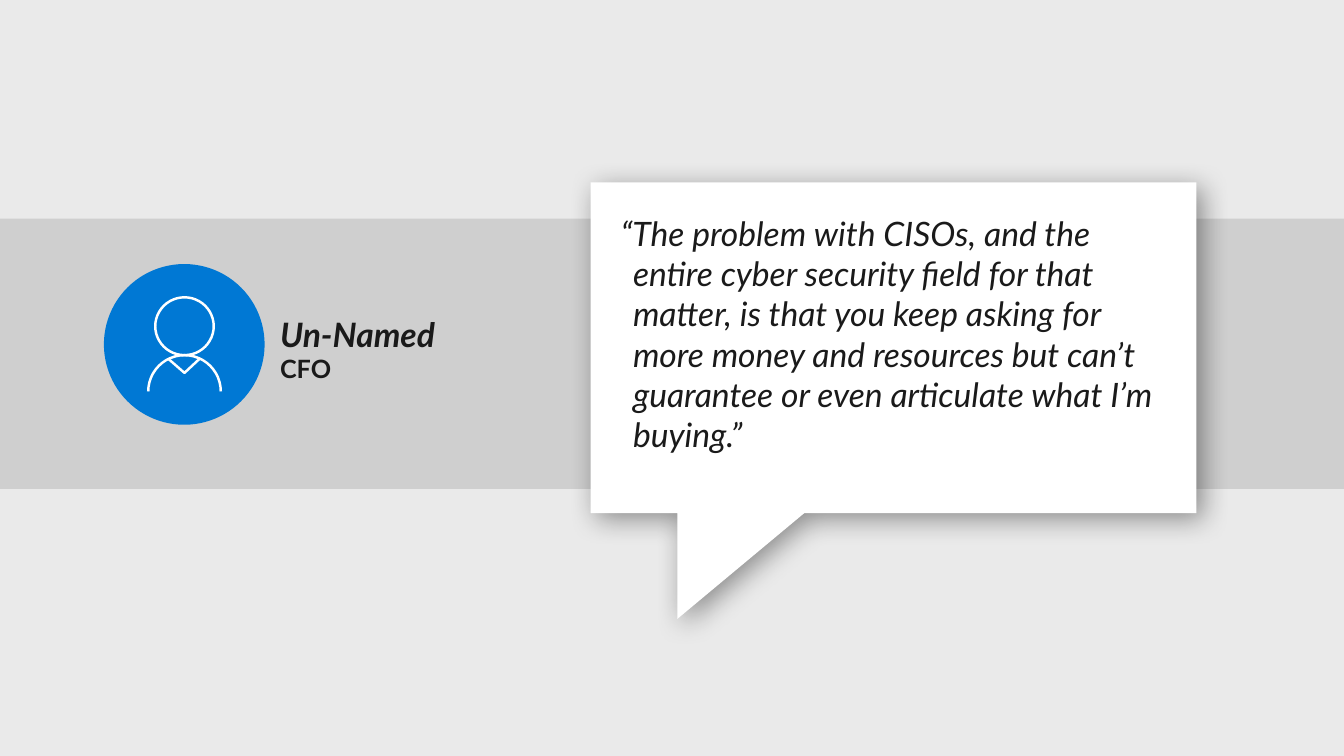
from lxml.etree import SubElement
from pptx import Presentation
from pptx.dml.color import RGBColor
from pptx.enum.shapes import MSO_SHAPE
from pptx.enum.text import MSO_ANCHOR, PP_ALIGN
from pptx.oxml.ns import qn
from pptx.util import Inches, Pt

BACKDROP = RGBColor(0xEA, 0xEA, 0xEA)
BAND = RGBColor(0xCF, 0xCF, 0xCF)
WHITE = RGBColor(0xFF, 0xFF, 0xFF)
BLACK = RGBColor(0, 0, 0)
BLUE = RGBColor(0x00, 0x78, 0xD4)
INK = RGBColor(0x1A, 0x1A, 0x1A)


class QuoteSlide:
    """Style and current slide; lengths are percent of the slide's size."""

    font = "Lato"
    stroke = 1.75

    def __init__(self, prs):
        """Add a blank slide with the backdrop colour."""
        self.prs = prs
        self.s = prs.slides.add_slide(prs.slide_layouts[6])
        self.s.background.fill.solid()
        self.s.background.fill.fore_color.rgb = BACKDROP

    def x(self, share):
        """Turn a share of the width into a length."""
        return round(self.prs.slide_width * share / 100)

    def y(self, share):
        """Turn a share of the height into a length."""
        return round(self.prs.slide_height * share / 100)

    def box(self, left, top, width, height):
        """Turn four shares into a position and size."""
        return self.x(left), self.y(top), self.x(width), self.y(height)

    def paint(self, sp, fill, line):
        """Set fill and line, and drop the theme shadow."""
        sp.shadow.inherit = False
        if fill is None:
            sp.fill.background()
        else:
            sp.fill.solid()
            sp.fill.fore_color.rgb = fill
        if line is None:
            sp.line.fill.background()
        else:
            sp.line.color.rgb = line
            sp.line.width = Pt(self.stroke)
        return sp

    def shape(self, kind, *shares, fill=None, line=None, parent=None):
        """Add a preset shape to the slide or a group."""
        shapes = (parent or self.s).shapes
        return self.paint(shapes.add_shape(kind, *self.box(*shares)), fill, line)

    def outline(self, points, fill=None, line=None, closed=True, parent=None):
        """Add a straight-sided outline through the given points."""
        pts = [(self.x(px), self.y(py)) for px, py in points]
        fb = (parent or self.s).shapes.build_freeform(*pts[0])
        fb.add_line_segments(pts[1:], close=closed)
        return self.paint(fb.convert_to_shape(), fill, line)

    def shadow(self, sp, color, alpha, blur, dist, angle):
        """Give a shape a soft outer shadow."""
        effects = sp._element.spPr.find(qn("a:effectLst"))
        outer = SubElement(effects, qn("a:outerShdw"), blurRad=str(Pt(blur)),
                           dist=str(Pt(dist)), dir=str(angle * 60000),
                           algn="tl", rotWithShape="0")
        clr = SubElement(outer, qn("a:srgbClr"), val=str(color))
        SubElement(clr, qn("a:alpha"), val=str(alpha * 1000))

    def run(self, p, text, size, bold=False, italic=False):
        """Add one styled run to a paragraph."""
        r = p.add_run()
        r.text = text
        r.font.name, r.font.size = self.font, Pt(size)
        r.font.bold, r.font.italic = bold, italic
        r.font.color.rgb = INK

    def quote(self, sp, text, inset, hang):
        """Write a quote with its opening mark hanging."""
        tf = sp.text_frame
        tf.word_wrap = True
        tf.vertical_anchor = MSO_ANCHOR.TOP
        tf.margin_left = tf.margin_right = Inches(inset)
        tf.margin_top = tf.margin_bottom = Inches(inset)
        p = tf.paragraphs[0]
        p.alignment = PP_ALIGN.LEFT
        p.space_after = Pt(6)
        pPr = p._p.get_or_add_pPr()
        pPr.set("marL", str(Inches(hang)))
        pPr.set("indent", str(-Inches(hang)))
        self.run(p, text, 24, italic=True)

    def speaker(self, name, role, *shares):
        """Add the speaker's name with the role below it."""
        tf = self.s.shapes.add_textbox(*self.box(*shares)).text_frame
        tf.word_wrap = True
        p = tf.paragraphs[0]
        p.space_after = Pt(6)
        self.run(p, name, 24, bold=True, italic=True)
        p.add_line_break()
        self.run(p, role, 18, bold=True)

    def badge(self):
        """Add the round badge with a person icon."""
        g = self.s.shapes.add_group_shape()
        self.shape(MSO_SHAPE.OVAL, 7.73, 34.93, 11.96, 21.26, fill=BLUE, parent=g)
        self.shape(MSO_SHAPE.OVAL, 11.55, 39.33, 4.35, 7.65, line=WHITE, parent=g)
        arc = self.shape(MSO_SHAPE.ARC, 11.03, 46.98, 5.4, 9.6, line=WHITE, parent=g)
        arc.adjustments[0], arc.adjustments[1] = 108, 0
        self.outline([(12.53, 47.47), (13.73, 49.33), (14.85, 47.47)],
                     line=WHITE, closed=False, parent=g)


def main():
    """Build and save the quote slide."""
    prs = Presentation()
    prs.slide_width, prs.slide_height = Inches(13.33), Inches(7.5)
    qs = QuoteSlide(prs)
    qs.shape(MSO_SHAPE.RECTANGLE, 0, 28.93, 100, 35.73, fill=BAND)
    left, right, top, bottom = 43.95, 89.02, 24.13, 67.87
    bubble = qs.outline([(left, top), (right, top), (right, bottom), (59.85, bottom),
                         (50.4, 81.87), (50.4, bottom), (left, bottom)], fill=WHITE)
    qs.shadow(bubble, BLACK, alpha=40, blur=20, dist=6, angle=45)
    qs.quote(bubble, "“The problem with CISOs, and the entire cyber security field "
             "for that matter, is that you keep asking for more money and resources "
             "but can’t guarantee or even articulate what I’m buying.”", 0.3, 0.12)
    qs.badge()
    qs.speaker("Un-Named", "CFO", 20.1, 40.8, 22.73, 10.8)
    prs.save("out.pptx")


if __name__ == "__main__":
    main()
